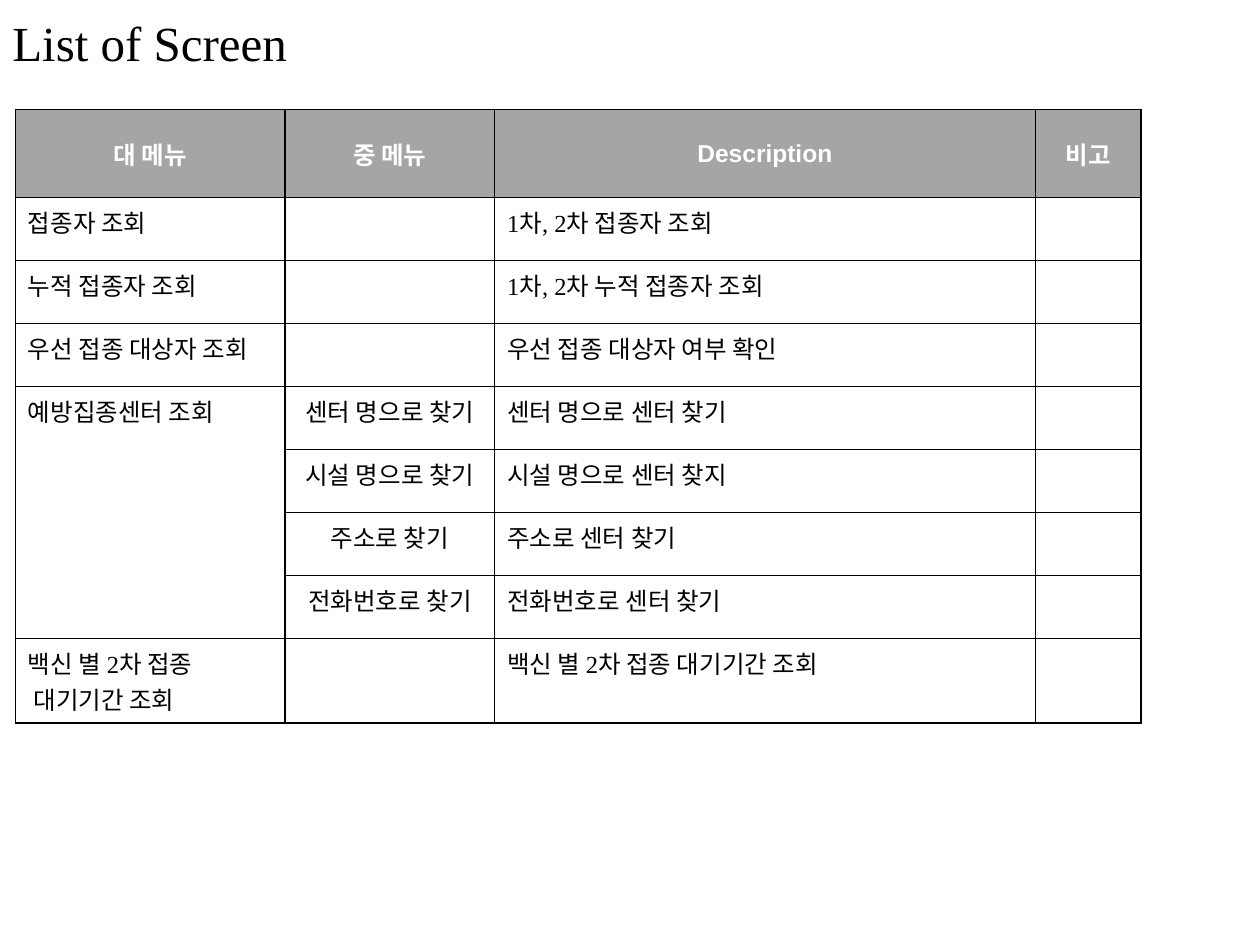
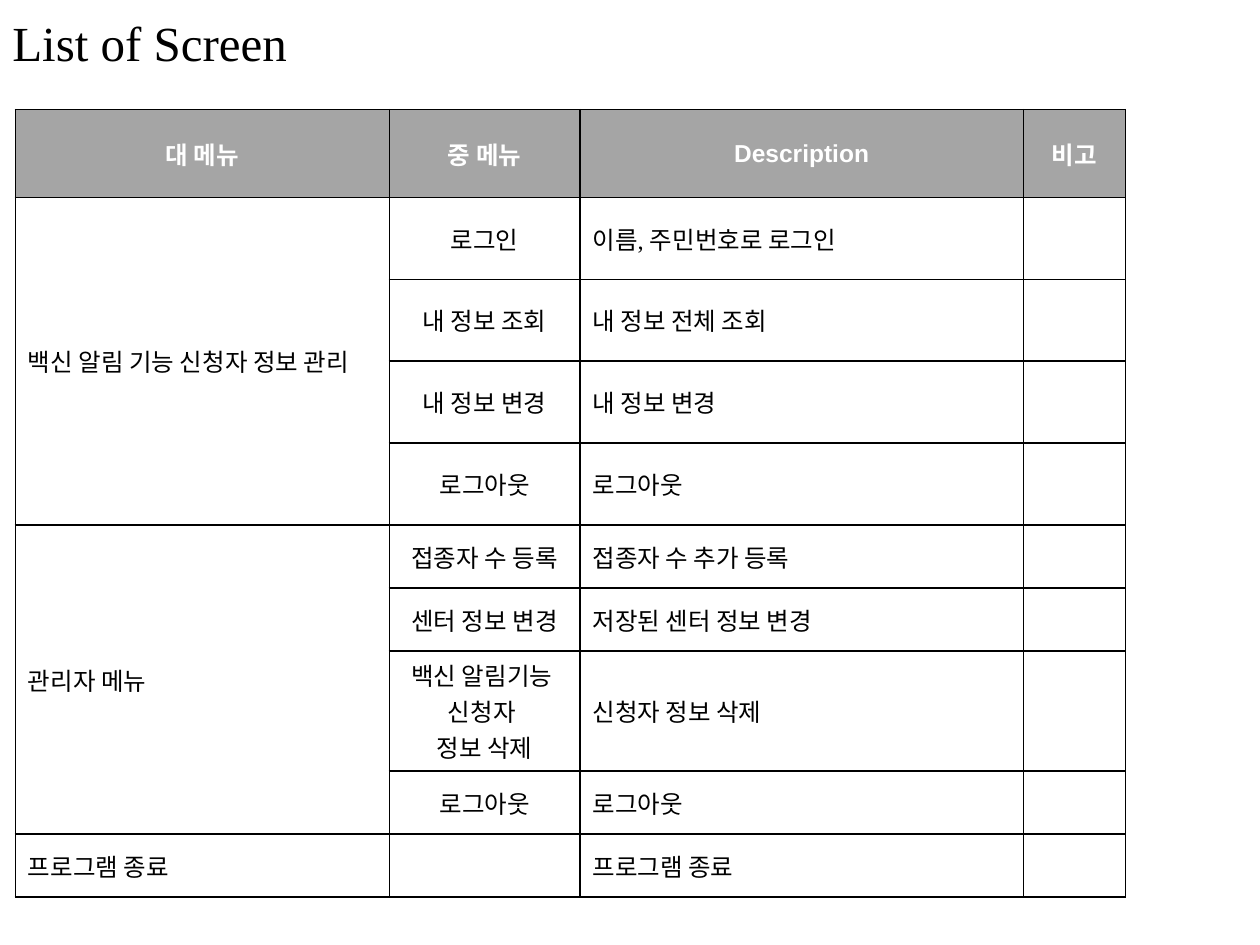
from lxml.etree import SubElement
from pptx import Presentation
from pptx.dml.color import RGBColor
from pptx.enum.text import MSO_ANCHOR, PP_ALIGN
from pptx.oxml.ns import qn
from pptx.util import Cm, Pt

COLORS = {"text": "000000", "border": "000000", "header": "A5A5A5",
          "header_text": "FFFFFF", "body": "FFFFFF"}
SERIF = "Times New Roman"
SANS = "Arial"
HEADERS = ["대 메뉴", "중 메뉴", "Description", "비고"]
HEADER_FONTS = [SANS, SERIF, SANS, SERIF]
HEADER_HEIGHT = 1.77
ROW_HEIGHT = 1.27
TALL_ROW_HEIGHT = 1.65
TWO_LINE_HEIGHT = 1.7
THREE_LINE_HEIGHT = 2.42
SUBMENU_COLUMN = 1

PUBLIC_MENUS = [
    ("접종자 조회", [("", "1차, 2차 접종자 조회")]),
    ("누적 접종자 조회", [("", "1차, 2차 누적 접종자 조회")]),
    ("우선 접종 대상자 조회", [("", "우선 접종 대상자 여부 확인")]),
    ("예방집종센터 조회", [
        ("센터 명으로 찾기", "센터 명으로 센터 찾기"),
        ("시설 명으로 찾기", "시설 명으로 센터 찾지"),
        ("주소로 찾기", "주소로 센터 찾기"),
        ("전화번호로 찾기", "전화번호로 센터 찾기"),
    ]),
    ("백신 별 2차 접종\n 대기기간 조회", [("", "백신 별 2차 접종 대기기간 조회")]),
]
ACCOUNT_MENUS = [
    ("백신 알림 기능 신청자 정보 관리", [
        ("로그인", "이름, 주민번호로 로그인"),
        ("내 정보 조회", "내 정보 전체 조회"),
        ("내 정보 변경", "내 정보 변경"),
        ("로그아웃", "로그아웃"),
    ]),
    ("관리자 메뉴", [
        ("접종자 수 등록", "접종자 수 추가 등록"),
        ("센터 정보 변경", "저장된 센터 정보 변경"),
        ("백신 알림기능 \n신청자 \n정보 삭제", "신청자 정보 삭제"),
        ("로그아웃", "로그아웃"),
    ]),
    ("프로그램 종료", [("", "프로그램 종료")]),
]


def style_paragraph(paragraph, size, font, color, bold=False, align=PP_ALIGN.LEFT):
    paragraph.alignment = align
    paragraph.font.size = Pt(size)
    paragraph.font.name = font
    paragraph.font.bold = bold
    paragraph.font.color.rgb = RGBColor.from_string(COLORS[color])


def add_title(page, text):
    box = page.shapes.add_textbox(0, 0, Cm(25.4), Cm(1.7))
    frame = box.text_frame
    frame.word_wrap = True
    frame.vertical_anchor = MSO_ANCHOR.MIDDLE
    frame.text = text
    style_paragraph(frame.paragraphs[0], 28, SERIF, "text")


def add_borders(cell):
    properties = cell._tc.get_or_add_tcPr()
    for side in ("a:lnL", "a:lnR", "a:lnT", "a:lnB"):
        line = SubElement(properties, qn(side), w=str(Pt(1)))
        fill = SubElement(line, qn("a:solidFill"))
        SubElement(fill, qn("a:srgbClr"), val=COLORS["border"])


def fill_cell(cell, text, font, anchor, align, header=False):
    add_borders(cell)
    cell.fill.solid()
    cell.fill.fore_color.rgb = RGBColor.from_string(COLORS["header" if header else "body"])
    cell.vertical_anchor = anchor
    cell.text = text
    for paragraph in cell.text_frame.paragraphs:
        style_paragraph(paragraph, 14, font, "header_text" if header else "text", header, align)


def add_menu_table(page, menus, widths, heights, anchor):
    heights = [HEADER_HEIGHT] + heights
    frame = page.shapes.add_table(len(heights), len(widths), Cm(0.31), Cm(2.21),
                                  Cm(sum(widths)), Cm(sum(heights)))
    table = frame.table
    table.horz_banding = False
    for column, width in zip(table.columns, widths):
        column.width = Cm(width)
    for row, height in zip(table.rows, heights):
        row.height = Cm(height)

    for index, (text, font) in enumerate(zip(HEADERS, HEADER_FONTS)):
        fill_cell(table.cell(0, index), text, font, MSO_ANCHOR.MIDDLE, PP_ALIGN.CENTER, True)

    row = 1
    for menu, screens in menus:
        first = row
        for submenu, description in screens:
            values = [menu if row == first else "", submenu, description, ""]
            for index, text in enumerate(values):
                align = PP_ALIGN.CENTER if index == SUBMENU_COLUMN else PP_ALIGN.LEFT
                fill_cell(table.cell(row, index), text, SERIF, anchor, align)
            row += 1
        if len(screens) > 1:
            table.cell(first, 0).merge(table.cell(row - 1, 0))


def add_screen_list(deck, menus, widths, heights, anchor):
    page = deck.slides.add_slide(deck.slide_layouts[6])
    add_title(page, "List of Screen")
    add_menu_table(page, menus, widths, heights, anchor)


def main():
    deck = Presentation()
    deck.slide_width = Cm(25.4)
    deck.slide_height = Cm(19.05)
    add_screen_list(deck, PUBLIC_MENUS, [5.44, 4.22, 10.9, 2.13],
                    [ROW_HEIGHT] * 7 + [TWO_LINE_HEIGHT], MSO_ANCHOR.TOP)
    add_screen_list(deck, ACCOUNT_MENUS, [7.54, 3.84, 8.94, 2.06],
                    [TALL_ROW_HEIGHT] * 4 + [ROW_HEIGHT] * 2
                    + [THREE_LINE_HEIGHT] + [ROW_HEIGHT] * 2, MSO_ANCHOR.MIDDLE)
    deck.save("out.pptx")


if __name__ == "__main__":
    main()
